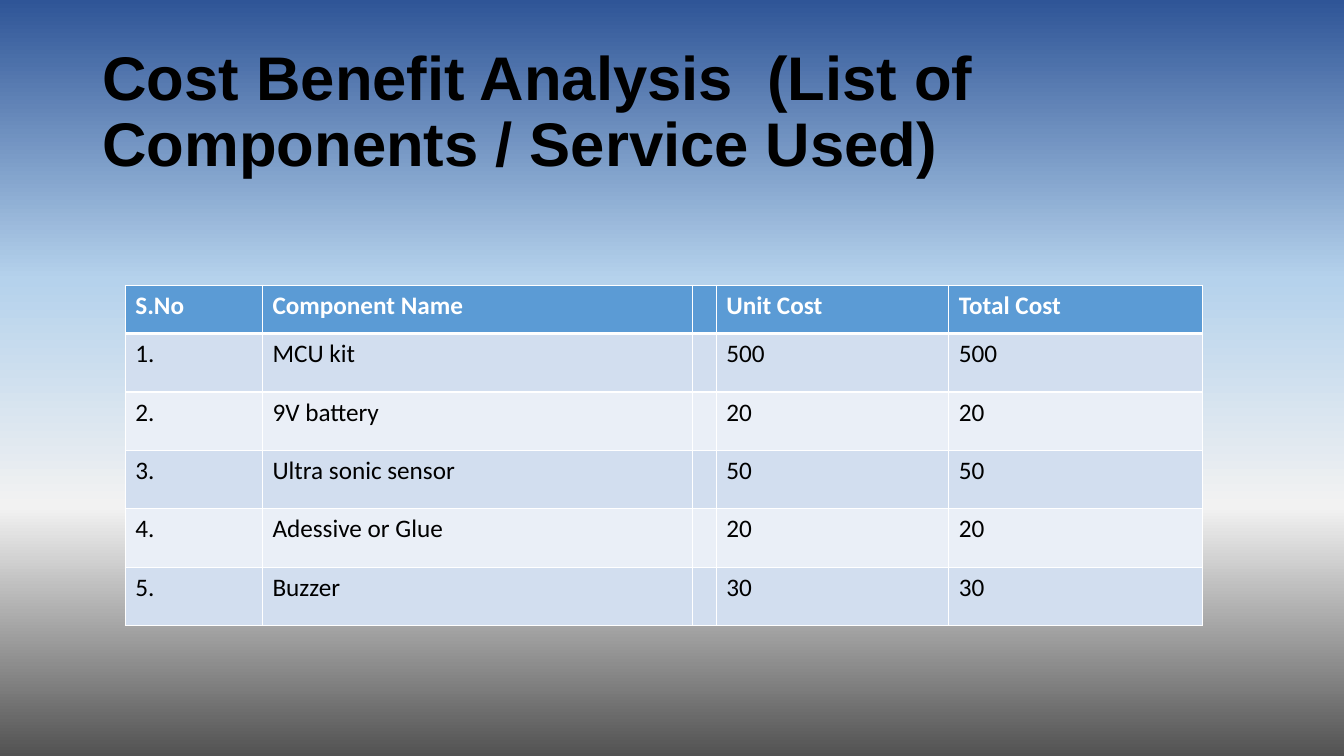
from lxml import etree
from pptx import Presentation
from pptx.dml.color import RGBColor
from pptx.enum.text import MSO_ANCHOR, MSO_AUTO_SIZE, PP_ALIGN
from pptx.oxml.ns import qn
from pptx.util import Pt

LEFT = PP_ALIGN.LEFT
MIDDLE = MSO_ANCHOR.MIDDLE
NO_FIT = MSO_AUTO_SIZE.NONE
TITLE_ONLY = 5

COLORS = {
    "black": "000000", "white": "FFFFFF", "head": "5B9BD5",
    "odd": "D2DEEF", "even": "EAEFF7",
}
STOPS = [(0, "2F5597"), (37, "B5D2EC"), (67, "F2F2F2"), (100, "525252")]
HEADS = ["S.No", "Component Name", "", "Unit Cost", "Total Cost"]
PARTS = [
    ("MCU kit", "500"), ("9V battery", "20"), ("Ultra sonic sensor", "50"),
    ("Adessive or Glue", "20"), ("Buzzer", "30"),
]
WIDTHS = [98, 307, 17, 166, 181]
HEAD_H, ROW_H = 34.5, 41.75


def add_text(frame, text, size=18, font="Calibri", color="black",
             bold=False, space=1.0):
    para = frame.paragraphs[0]
    para.alignment = LEFT
    para.line_spacing = space
    run = para.add_run()
    run.text = text
    run.font.size = Pt(size)
    run.font.name = font
    run.font.bold = bold
    run.font.color.rgb = RGBColor.from_string(COLORS[color])


def add_color(parent, value):
    etree.SubElement(parent, qn("a:srgbClr"), val=value)


def set_back(slide):
    fill = slide.background.fill
    fill.gradient()
    fill.gradient_angle = 270
    stops = slide.element.find(".//" + qn("a:gsLst"))
    for stop in list(stops):
        stops.remove(stop)
    for place, value in STOPS:
        stop = etree.SubElement(stops, qn("a:gs"), pos=str(place * 1000))
        add_color(stop, value)


def set_edges(cell, top, bottom):
    props = cell._tc.get_or_add_tcPr()
    edges = {"L": 1, "R": 1, "T": top, "B": bottom}
    for index, (side, width) in enumerate(edges.items()):
        line = etree.Element(qn("a:ln" + side), w=str(Pt(width)))
        add_color(etree.SubElement(line, qn("a:solidFill")), COLORS["white"])
        props.insert(index, line)


def add_title(slide, text):
    title = slide.shapes.title
    title.left, title.top = Pt(66), Pt(28.75)
    title.width, title.height = Pt(828), Pt(104.4)
    frame = title.text_frame
    frame.word_wrap = True
    frame.auto_size = NO_FIT
    frame.vertical_anchor = MIDDLE
    add_text(frame, text, size=44, font="Arial", bold=True, space=0.9)


def add_grid(slide, rows):
    height = HEAD_H + ROW_H * (len(rows) - 1)
    table = slide.shapes.add_table(
        len(rows), len(WIDTHS), Pt(89.5), Pt(203.75),
        Pt(sum(WIDTHS)), Pt(height)).table
    for col, width in zip(table.columns, WIDTHS):
        col.width = Pt(width)
    for r, row in enumerate(rows):
        head = r == 0
        table.rows[r].height = Pt(HEAD_H if head else ROW_H)
        shade = "head" if head else "odd" if r % 2 else "even"
        for c, text in enumerate(row):
            cell = table.cell(r, c)
            cell.fill.solid()
            cell.fill.fore_color.rgb = RGBColor.from_string(COLORS[shade])
            set_edges(cell, top=3 if r == 1 else 1, bottom=3 if head else 1)
            if text:
                add_text(cell.text_frame, text, bold=head,
                         color="white" if head else "black")


def main():
    deck = Presentation()
    deck.slide_width, deck.slide_height = Pt(960), Pt(540)
    slide = deck.slides.add_slide(deck.slide_layouts[TITLE_ONLY])
    set_back(slide)
    add_title(slide, "Cost Benefit Analysis  (List of Components / Service Used)")
    body = [[f"{n}.", name, "", cost, cost]
            for n, (name, cost) in enumerate(PARTS, 1)]
    add_grid(slide, [HEADS] + body)
    deck.save("out.pptx")


if __name__ == "__main__":
    main()
